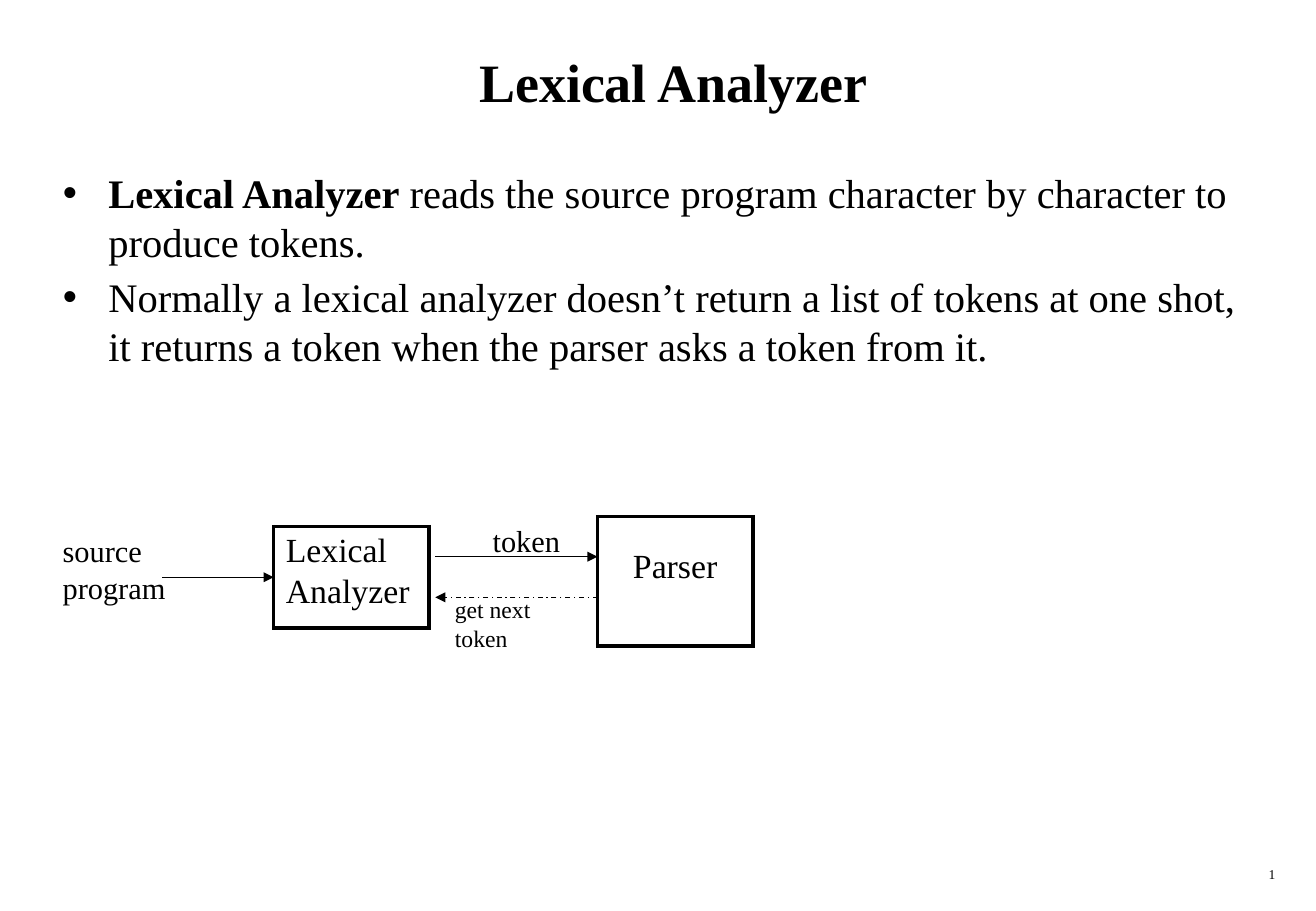
from pptx import Presentation
from pptx.dml.color import RGBColor
from pptx.enum.dml import MSO_LINE
from pptx.enum.shapes import MSO_CONNECTOR
from pptx.enum.text import MSO_ANCHOR, MSO_AUTO_SIZE, PP_ALIGN
from pptx.oxml import parse_xml
from pptx.oxml.ns import nsdecls, qn
from pptx.util import Cm, Pt
from lxml.etree import SubElement

FONT = "Times New Roman"
BLACK = "000000"


def color(value):
    return RGBColor.from_string(value)


def place(sp, x, y, w, h):
    sp.left, sp.top, sp.width, sp.height = Cm(x), Cm(y), Cm(w), Cm(h)


def write(tf, paragraphs, size=18, align=PP_ALIGN.LEFT, gap=0, hanging=0):
    for i, runs in enumerate(paragraphs):
        p = tf.paragraphs[0] if i == 0 else tf.add_paragraph()
        if hanging:
            pPr = p._p.get_or_add_pPr()
            pPr.set("marL", str(Cm(hanging)))
            pPr.set("indent", str(-Cm(hanging)))
        p.alignment = align
        p.space_before = Pt(gap if i else 0)
        for text, bold in runs:
            r = p.add_run()
            r.text = text
            r.font.name = FONT
            r.font.size = Pt(size)
            r.font.bold = bold
            r.font.color.rgb = color(BLACK)


def plain(*lines):
    return [[(line, False)] for line in lines]


def add_label(slide, lines, x, y, w, h, wrap=False, **fmt):
    tf = slide.shapes.add_textbox(Cm(x), Cm(y), Cm(w), Cm(h)).text_frame
    tf.word_wrap = wrap
    write(tf, plain(*lines), **fmt)


def add_box(slide, lines, x, y, w, h, top=0.13, **fmt):
    table = slide.shapes.add_table(1, 1, Cm(x), Cm(y), Cm(w), Cm(h)).table
    table.first_row = table.horz_banding = False
    cell = table.cell(0, 0)
    cell.margin_top = Cm(top)
    write(cell.text_frame, plain(*lines), size=20, **fmt)
    tcPr = cell._tc.get_or_add_tcPr()
    for side in "LRTB":
        tcPr.append(parse_xml(
            f'<a:ln{side} {nsdecls("a")} w="{Pt(2.25)}"><a:solidFill>'
            f'<a:srgbClr val="{BLACK}"/></a:solidFill></a:ln{side}>'))
    cell.fill.background()


def add_arrow(slide, x1, x2, y, dash=None):
    line = slide.shapes.add_connector(
        MSO_CONNECTOR.STRAIGHT, Cm(x1), Cm(y), Cm(x2), Cm(y))
    line.line.color.rgb = color(BLACK)
    line.line.width = Pt(0.75)
    if dash:
        line.line.dash_style = dash
    SubElement(line.line._get_or_add_ln(), qn("a:tailEnd"), type="triangle")
    SubElement(line._element.spPr, qn("a:effectLst"))


def main():
    prs = Presentation()
    prs.slide_width, prs.slide_height = Cm(27.51), Cm(19.05)
    slide = prs.slides.add_slide(prs.slide_layouts[1])

    title, body = slide.placeholders
    place(title, 1.06, 0.42, 26.04, 2.54)
    title.text_frame.vertical_anchor = MSO_ANCHOR.MIDDLE
    write(title.text_frame, [[("Lexical Analyzer", True)]], size=32,
          align=PP_ALIGN.CENTER)

    place(body, 1.06, 3.39, 26.04, 14.18)
    body.text_frame.auto_size = MSO_AUTO_SIZE.NONE
    body.text_frame.margin_right = Cm(0.9)
    write(body.text_frame, [
        [("Lexical Analyzer", True),
         (" reads the source program character by character to produce tokens.", False)],
        [("Normally a lexical analyzer doesn’t return a list of tokens at one shot, "
          "it returns a token when the parser asks a token from it.", False)],
    ], size=24, gap=4, hanging=0.95)

    add_box(slide, ["Lexical", "Analyzer"], 5.72, 11.01, 3.25, 2.12, gap=2)
    add_box(slide, ["Parser"], 12.49, 10.8, 3.25, 2.71, top=0.66,
            align=PP_ALIGN.CENTER)

    add_label(slide, ["source", "program"], 1.06, 11.01, 2.67, 1.78)
    add_label(slide, ["token"], 10.05, 10.8, 1.92, 1.02)
    add_label(slide, ["get next token"], 9.26, 12.32, 3.3, 0.84, size=14)
    add_label(slide, ["1"], 21.17, 17.99, 5.74, 0.64, wrap=True, size=8,
              align=PP_ALIGN.RIGHT)

    add_arrow(slide, 3.39, 5.72, 12.07)
    add_arrow(slide, 9.1, 12.49, 11.64)
    add_arrow(slide, 12.49, 9.1, 12.49, dash=MSO_LINE.DASH_DOT)

    prs.save("out.pptx")


if __name__ == "__main__":
    main()
